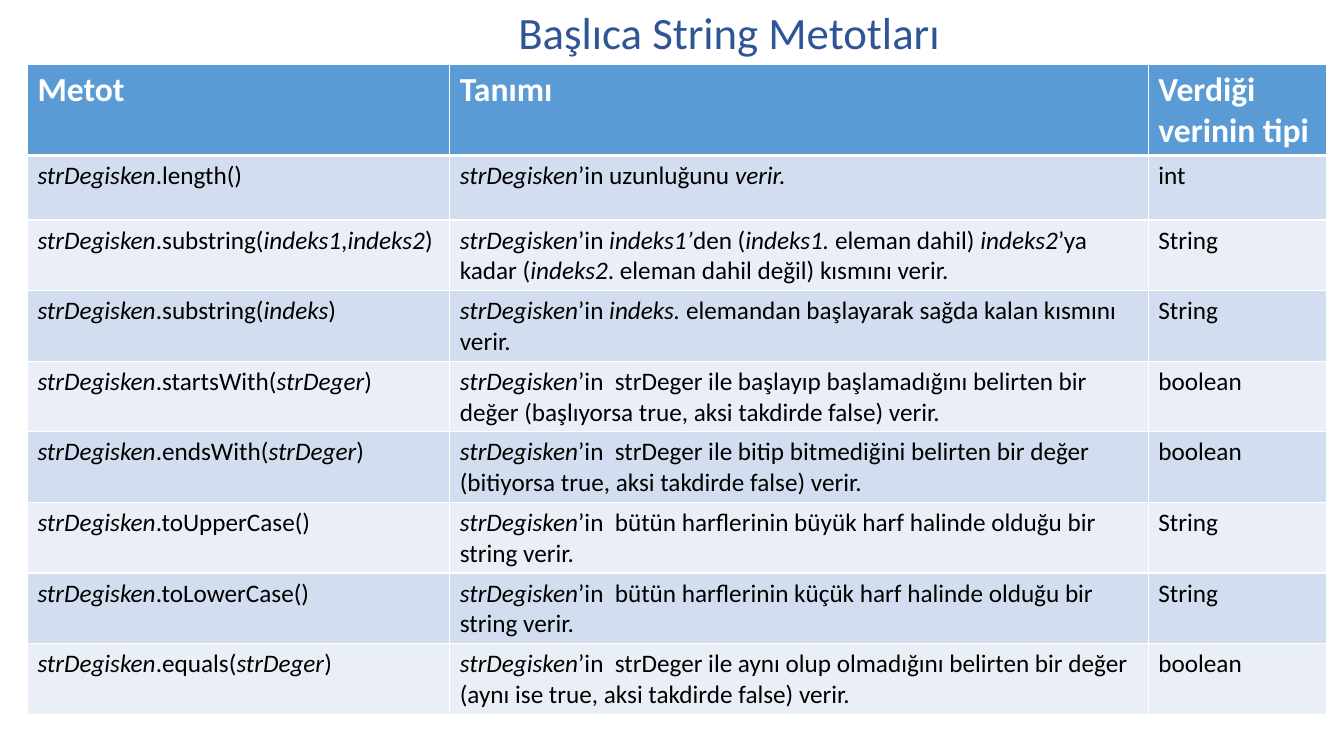
"""Build a slide with a table of the main Java String methods."""
from lxml import etree
from pptx import Presentation
from pptx.dml.color import RGBColor
from pptx.enum.text import MSO_ANCHOR, MSO_AUTO_SIZE, PP_ALIGN
from pptx.oxml.ns import qn
from pptx.util import Pt

TOP = MSO_ANCHOR.TOP
FIT_SHAPE = MSO_AUTO_SIZE.SHAPE_TO_FIT_TEXT
LEFT = PP_ALIGN.LEFT

FONT = "Calibri"
WHITE, BLACK, TITLE_BLUE = "FFFFFF", "000000", "2F5597"
HEADER_FILL, BAND_FILLS = "5B9BD5", ("EAEFF7", "D2DEEF")
COL_WIDTHS = (301.7, 499, 127.4)
HEADER_HEIGHT, ROW_HEIGHT = 46.8, 46.1

ROWS = [
    ("Metot", "Tanımı", "Verdiği verinin tipi"),
    ("*strDegisken*.length()", "*strDegisken*’in uzunluğunu* verir.*", "int"),
    ("*strDegisken*.substring(*indeks1*,*indeks2*)",
     "*strDegisken*’in* indeks1’*den (*indeks1. *eleman dahil) *indeks2*’ya kadar "
     "(*indeks2*. eleman dahil değil) kısmını verir.", "String"),
    ("*strDegisken*.substring(*indeks*)",
     "*strDegisken*’in* indeks. *elemandan başlayarak sağda kalan kısmını verir.", "String"),
    ("*strDegisken*.startsWith(*strDeger*)",
     "*strDegisken*’in  strDeger ile başlayıp başlamadığını belirten bir değer "
     "(başlıyorsa true, aksi takdirde false) verir.", "boolean"),
    ("*strDegisken*.endsWith(*strDeger*)",
     "*strDegisken*’in  strDeger ile bitip bitmediğini belirten bir değer "
     "(bitiyorsa true, aksi takdirde false) verir.", "boolean"),
    ("*strDegisken*.toUpperCase()",
     "*strDegisken*’in  bütün harflerinin büyük harf halinde olduğu bir string verir.", "String"),
    ("*strDegisken*.toLowerCase()",
     "*strDegisken*’in  bütün harflerinin küçük harf halinde olduğu bir string verir.", "String"),
    ("*strDegisken*.equals(*strDeger*)",
     "*strDegisken*’in  strDeger ile aynı olup olmadığını belirten bir değer "
     "(aynı ise true, aksi takdirde false) verir.", "boolean"),
]


def rgb(value):
    """Return the colour for a hex string."""
    return RGBColor.from_string(value)


def write(tf, text, size=18, color=BLACK, bold=False):
    """Write text into a frame, with the parts between asterisks in italics."""
    p = tf.paragraphs[0]
    p.alignment = LEFT
    for i, part in enumerate(text.split("*")):
        if part:
            r = p.add_run()
            r.text = part
            r.font.name = FONT
            r.font.size = Pt(size)
            r.font.bold = bold
            r.font.italic = i % 2 == 1
            r.font.color.rgb = rgb(color)


prs = Presentation()
prs.slide_width, prs.slide_height = Pt(960), Pt(540)
s = prs.slides.add_slide(prs.slide_layouts[5])

title = s.shapes.title
title.left, title.top, title.width, title.height = Pt(363), Pt(0), Pt(317.5), Pt(46)
tf = title.text_frame
tf.word_wrap = False
tf.auto_size = FIT_SHAPE
tf.vertical_anchor = TOP
write(tf, "Başlıca String Metotları", size=32, color=TITLE_BLUE)

table_height = HEADER_HEIGHT + ROW_HEIGHT * (len(ROWS) - 1)
table = s.shapes.add_table(len(ROWS), len(COL_WIDTHS), Pt(19.6), Pt(46.3),
                           Pt(sum(COL_WIDTHS)), Pt(table_height)).table
for col, width in zip(table.columns, COL_WIDTHS):
    col.width = Pt(width)

for i, texts in enumerate(ROWS):
    header = i == 0
    table.rows[i].height = Pt(HEADER_HEIGHT if header else ROW_HEIGHT)
    borders = {"lnL": 1, "lnR": 1, "lnT": 3 if i == 1 else 1, "lnB": 3 if header else 1}
    for j, text in enumerate(texts):
        cell = table.cell(i, j)
        if header:
            write(cell.text_frame, text, size=24, color=WHITE, bold=True)
        else:
            write(cell.text_frame, text)
        tcPr = cell._tc.get_or_add_tcPr()
        for side, weight in borders.items():
            ln = etree.SubElement(tcPr, qn("a:" + side), w=str(Pt(weight)))
            fill = etree.SubElement(ln, qn("a:solidFill"))
            etree.SubElement(fill, qn("a:srgbClr"), val=WHITE)
        cell.fill.solid()
        cell.fill.fore_color.rgb = rgb(HEADER_FILL if header else BAND_FILLS[i % 2])

prs.save("out.pptx")
